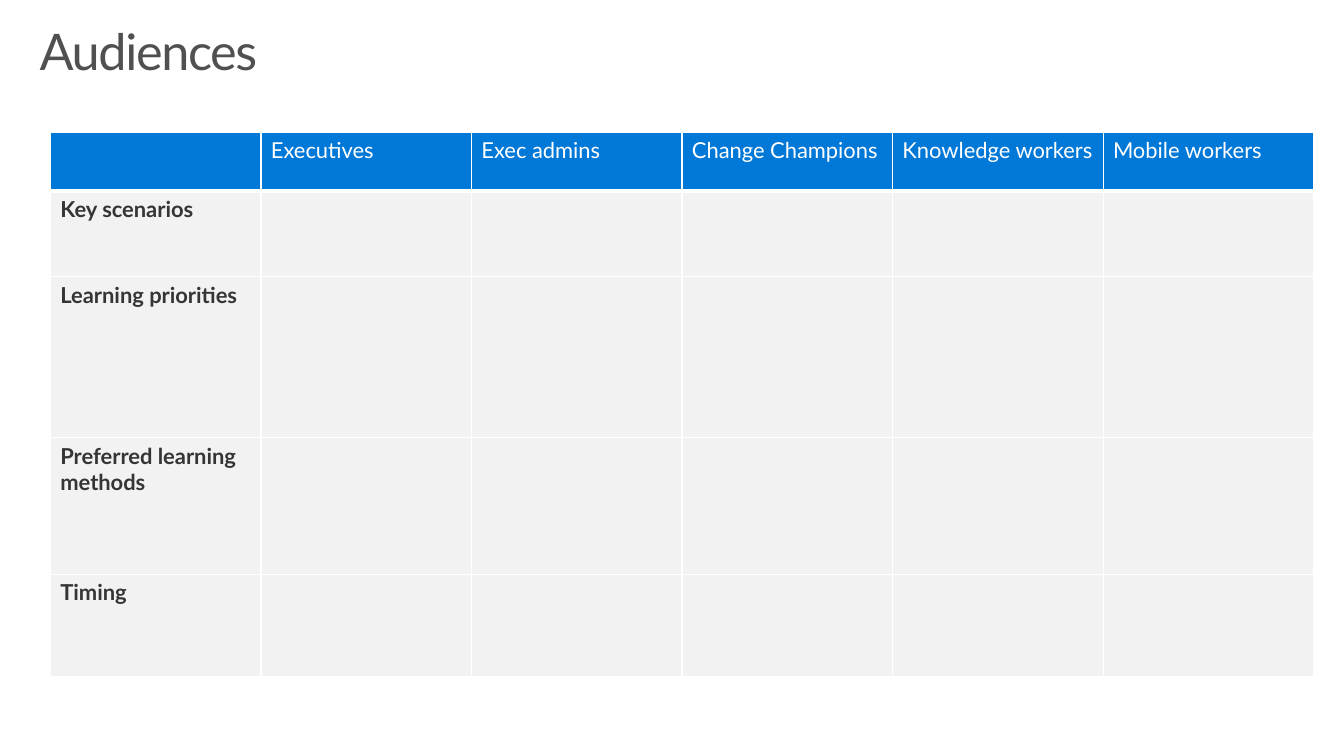
from lxml.etree import SubElement
from pptx import Presentation
from pptx.dml.color import RGBColor
from pptx.enum.text import MSO_ANCHOR, MSO_AUTO_SIZE, PP_ALIGN
from pptx.oxml.ns import qn
from pptx.util import Pt

WHITE = RGBColor(0xFF, 0xFF, 0xFF)
BLUE = RGBColor(0x00, 0x78, 0xD7)
LIGHT_GREY = RGBColor(0xF2, 0xF2, 0xF2)
DARK_GREY = RGBColor(0x35, 0x35, 0x35)
TITLE_GREY = RGBColor(0x50, 0x50, 0x50)

FONT = "Lato"
AUDIENCES = ["Executives", "Exec admins", "Change Champions",
             "Knowledge workers", "Mobile workers"]
TOPICS = ["Key scenarios", "Learning priorities",
          "Preferred learning methods", "Timing"]
ROW_HEIGHTS = [42.5, 62.6, 117.4, 99.4, 74.9]
COLUMN_WIDTH = 153.4


def set_font(p, size, color, bold=False):
    p.font.name = FONT
    p.font.size = Pt(size)
    p.font.color.rgb = color
    p.font.bold = bold


def add_title(s, text):
    title = s.shapes.title
    title.left, title.top, title.width, title.height = Pt(28.8), Pt(19.4), Pt(936), Pt(41)
    tf = title.text_frame
    tf.margin_left = tf.margin_top = tf.margin_right = tf.margin_bottom = 0
    tf.vertical_anchor = MSO_ANCHOR.TOP
    tf.auto_size = MSO_AUTO_SIZE.SHAPE_TO_FIT_TEXT
    p = tf.paragraphs[0]
    p.alignment = PP_ALIGN.LEFT
    p.line_spacing = 0.9
    r = p.add_run()
    r.text = text
    set_font(p, 36.7, TITLE_GREY)
    r.font._element.set("spc", "-100")


def set_borders(cell, top, bottom):
    """Draw white borders, 1 pt at the sides; call before filling the cell."""
    tcPr = cell._tc.get_or_add_tcPr()
    for side, width in (("L", 1), ("R", 1), ("T", top), ("B", bottom)):
        ln = SubElement(tcPr, qn(f"a:ln{side}"), w=str(Pt(width)))
        fill = SubElement(ln, qn("a:solidFill"))
        SubElement(fill, qn("a:srgbClr"), val=str(WHITE))


def add_audience_table(s):
    rows = [["", *AUDIENCES]] + [[topic] + [""] * len(AUDIENCES) for topic in TOPICS]
    columns = len(rows[0])
    table = s.shapes.add_table(len(rows), columns, Pt(36.8), Pt(96.5),
                               Pt(COLUMN_WIDTH * columns), Pt(sum(ROW_HEIGHTS))).table
    for column in table.columns:
        column.width = Pt(COLUMN_WIDTH)
    for i, (texts, height) in enumerate(zip(rows, ROW_HEIGHTS)):
        table.rows[i].height = Pt(height)
        header = i == 0
        for cell, text in zip(table.rows[i].cells, texts):
            set_borders(cell, top=3 if i == 1 else 1, bottom=3 if header else 1)
            cell.fill.solid()
            cell.fill.fore_color.rgb = BLUE if header else LIGHT_GREY
            cell.text = text
            set_font(cell.text_frame.paragraphs[0], 16,
                     WHITE if header else DARK_GREY, bold=not header)


def main():
    prs = Presentation()
    prs.slide_width, prs.slide_height = Pt(979.2), Pt(550.8)
    s = prs.slides.add_slide(prs.slide_layouts[5])
    add_title(s, "Audiences")
    add_audience_table(s)
    prs.save("out.pptx")


if __name__ == "__main__":
    main()
